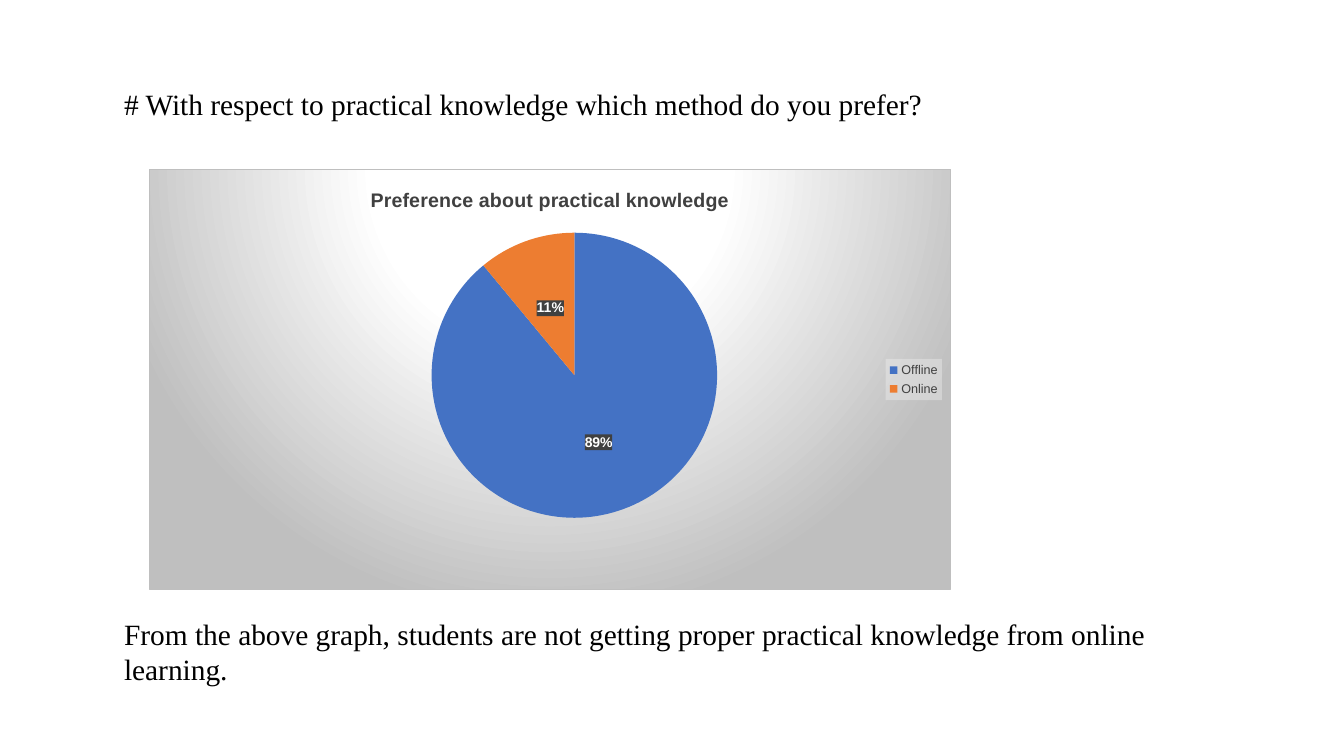
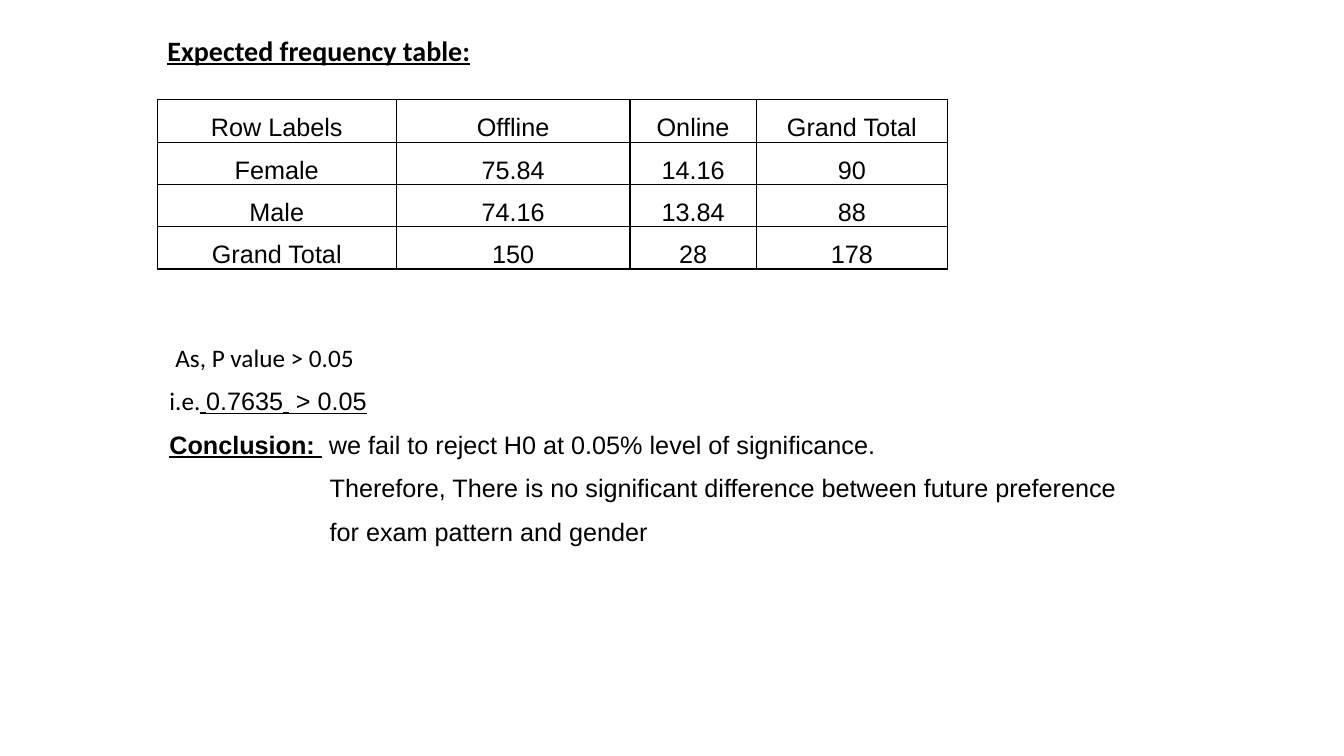
import pptx
import pptx.chart.data
import pptx.dml.color
import pptx.enum.chart
import pptx.enum.text
import pptx.oxml
import pptx.oxml.ns
import pptx.util

Inches = pptx.util.Inches
Pt = pptx.util.Pt
qn = pptx.oxml.ns.qn

BLACK = "000000"
WHITE = "FFFFFF"
DARK = "404040"
SILVER = "BFBFBF"
SLICE_COLORS = ["4472C4", "ED7D31"]
PLOT_AREA = {"x": 0.061, "y": 0.15, "w": 0.939, "h": 0.68}


def color(value):
    return pptx.dml.color.RGBColor.from_string(value)


def element(xml):
    spaces = pptx.oxml.ns.nsdecls("a", "c")
    return pptx.oxml.parse_xml(xml.replace(">", f" {spaces}>", 1))


def style_font(font, name, size, value=BLACK, bold=False, underline=False):
    font.name = name
    font.size = Pt(size)
    font.color.rgb = color(value)
    font.bold = bold
    font.underline = underline


def add_span(para, text, name, size, bold=False, underline=False):
    span = para.add_run()
    span.text = text
    style_font(span.font, name, size, BLACK, bold, underline)


def add_page(deck):
    return deck.slides.add_slide(deck.slide_layouts[1])


def place_box(box, left, top, width, height):
    box.left, box.top = Inches(left), Inches(top)
    box.width, box.height = Inches(width), Inches(height)
    frame = box.text_frame
    frame.word_wrap = True
    frame.auto_size = pptx.enum.text.MSO_AUTO_SIZE.NONE
    frame.vertical_anchor = pptx.enum.text.MSO_ANCHOR.TOP
    return frame


def format_para(para, indent=0, before=0, spacing=1.0):
    para.alignment = pptx.enum.text.PP_ALIGN.LEFT
    para.space_before = Pt(before)
    para.line_spacing = spacing
    properties = para._p.get_or_add_pPr()
    properties.set("marL", str(Inches(indent)))
    properties.set("indent", "0")
    properties.append(element("<a:buNone></a:buNone>"))


def set_title(page, text, place, name, size, bold=False, underline=False):
    para = place_box(page.shapes.title, *place).paragraphs[0]
    format_para(para)
    add_span(para, text, name, size, bold, underline)


def set_body(page, lines, place, size, before=0, spacing=1.0):
    frame = place_box(page.placeholders[1], *place)
    for index, (indent, spans) in enumerate(lines):
        para = frame.add_paragraph() if index else frame.paragraphs[0]
        format_para(para, indent, before if index else 0, spacing)
        for text, name, bold, underline in spans:
            add_span(para, text, name, size, bold, underline)


def add_background(parent, fill, line=""):
    parent.find(qn("c:txPr")).addprevious(element(f"<c:spPr>{fill}{line}</c:spPr>"))


def clear_fill(value, alpha):
    return (f'<a:solidFill><a:srgbClr val="{value}"><a:alpha val="{alpha * 1000}"/>'
            "</a:srgbClr></a:solidFill>")


def radial_fill(stops):
    marks = "".join(f'<a:gs pos="{place * 1000}"><a:srgbClr val="{value}"/></a:gs>'
                    for place, value in stops)
    return (f'<a:gradFill rotWithShape="1"><a:gsLst>{marks}</a:gsLst><a:path path="circle">'
            '<a:fillToRect l="50000" t="-80000" r="50000" b="180000"/></a:path></a:gradFill>')


def set_plot_layout(chart):
    area = chart._chartSpace.find(qn("c:chart")).find(qn("c:plotArea"))
    for layout in area.findall(qn("c:layout")):
        area.remove(layout)
    values = "".join(f'<c:{key} val="{value}"/>' for key, value in PLOT_AREA.items())
    area.insert(0, element(
        '<c:layout><c:manualLayout><c:layoutTarget val="inner"/><c:xMode val="edge"/>'
        f'<c:yMode val="edge"/>{values}</c:manualLayout></c:layout>'))


def style_legend(chart):
    chart.has_legend = True
    legend = chart.legend
    legend.position = pptx.enum.chart.XL_LEGEND_POSITION.RIGHT
    legend.include_in_layout = False
    style_font(legend.font, "Arial", 9, DARK)
    add_background(legend._element, clear_fill("F2F2F2", 39))


def style_labels(plot):
    plot.has_data_labels = True
    labels = plot.data_labels
    labels.show_percentage = True
    labels.show_value = False
    labels.number_format = "0%"
    labels.number_format_is_linked = False
    labels.position = pptx.enum.chart.XL_LABEL_POSITION.CENTER
    style_font(labels.font, "Arial", 10, WHITE, True)
    add_background(labels._element, clear_fill(DARK, 85))


def add_pie(page, title, shares, place):
    data = pptx.chart.data.CategoryChartData()
    data.categories = list(shares)
    data.add_series("Series 1", list(shares.values()))
    kind = pptx.enum.chart.XL_CHART_TYPE.PIE
    chart = page.shapes.add_chart(kind, *map(Inches, place), data).chart
    style_font(chart.font, "Arial", 10)
    line = (f'<a:ln w="{Pt(0.75)}"><a:solidFill><a:srgbClr val="{SILVER}"/>'
            "</a:solidFill></a:ln>")
    stops = [(0, WHITE), (39, WHITE), (100, SILVER)]
    add_background(chart._chartSpace, radial_fill(stops), line)
    chart.has_title = True
    para = chart.chart_title.text_frame.paragraphs[0]
    span = para.add_run()
    span.text = title
    style_font(span.font, "Arial", 14, DARK, True)
    set_plot_layout(chart)
    style_legend(chart)
    plot = chart.plots[0]
    plot.vary_by_categories = True
    style_labels(plot)
    for index, value in enumerate(SLICE_COLORS):
        fill = plot.series[0].points[index].format.fill
        fill.solid()
        fill.fore_color.rgb = color(value)


def fill_cell(cell, text):
    cell.fill.background()
    cell.vertical_anchor = pptx.enum.text.MSO_ANCHOR.BOTTOM
    cell.margin_left = cell.margin_right = cell.margin_top = Inches(0.01)
    cell.margin_bottom = 0
    para = cell.text_frame.paragraphs[0]
    para.alignment = pptx.enum.text.PP_ALIGN.CENTER
    add_span(para, text, "Arial", 18)
    properties = cell._tc.get_or_add_tcPr()
    for index, side in enumerate("LRTB"):
        properties.insert(index, element(
            f'<a:ln{side} w="{Pt(1)}"><a:solidFill><a:srgbClr val="{BLACK}"/>'
            f"</a:solidFill></a:ln{side}>"))


def add_grid(page, rows, widths, left, top, row_height):
    size = [sum(widths), row_height * len(rows)]
    frame = page.shapes.add_table(len(rows), len(widths), *map(Inches, [left, top, *size]))
    table = frame.table
    table.first_row = table.horz_banding = False
    for column, width in zip(table.columns, widths):
        column.width = Inches(width)
    for row, texts in zip(table.rows, rows):
        row.height = Inches(row_height)
        for cell, text in zip(row.cells, texts):
            fill_cell(cell, text)


def build_preference(deck):
    page = add_page(deck)
    set_title(page, "# With respect to practical knowledge which method do you prefer?",
              (1.13, 0.8, 11, 0.45), "Times New Roman", 21)
    add_pie(page, "Preference about practical knowledge", {"Offline": 89, "Online": 11},
            (1.48, 1.68, 7.95, 4.17))
    finding = ("From the above graph, students are not getting proper practical "
               "knowledge from online learning.")
    set_body(page, [(0, [(finding, "Times New Roman", False, False)])],
             (1.13, 6.06, 11, 0.84), 21)


def build_frequency(deck):
    page = add_page(deck)
    set_title(page, "Expected frequency table:", (1.56, 0.28, 3.67, 0.44),
              "Calibri", 20, True, True)
    rows = [
        ["Row Labels", "Offline", "Online", "Grand Total"],
        ["Female", "75.84", "14.16", "90"],
        ["Male", "74.16", "13.84", "88"],
        ["Grand Total", "150", "28", "178"],
    ]
    add_grid(page, rows, [2.37, 2.32, 1.25, 1.9], 1.56, 0.99, 0.42)
    lines = [
        (0.06, [("As, P value > 0.05", "Calibri", False, False)]),
        (0, [("i.e.", "Calibri", False, False), (" ", "Calibri", False, True),
             ("0.7635", "Arial", False, True), (" ", "Calibri", False, True),
             (" > 0.05", "Arial", False, True)]),
        (0, [("Conclusion: ", "Arial", True, True),
             (" we fail to reject H0 at 0.05% level of significance.",
              "Arial", False, False)]),
        (1.59, [("Therefore, There is no significant difference between future preference",
                 "Arial", False, False)]),
        (1.59, [("for exam pattern and gender", "Arial", False, False)]),
    ]
    set_body(page, lines, (1.58, 3.32, 9.88, 2.59), 18, 8, 1.07)


def main():
    deck = pptx.Presentation()
    deck.slide_width = Inches(13.33)
    deck.slide_height = Inches(7.5)
    build_preference(deck)
    build_frequency(deck)
    deck.save("out.pptx")


if __name__ == "__main__":
    main()
